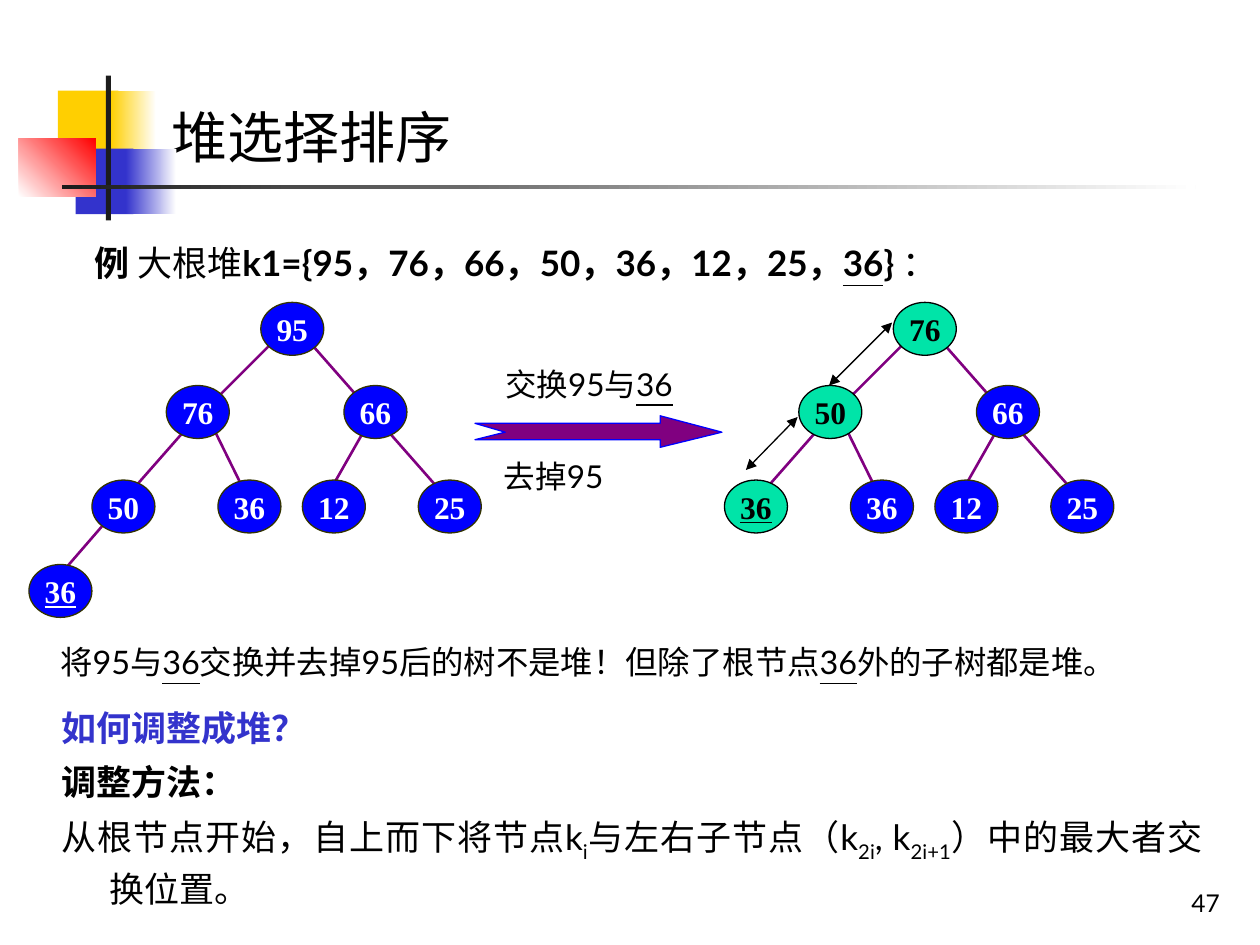
from dataclasses import dataclass

from lxml import etree
from pptx import Presentation
from pptx.dml.color import RGBColor
from pptx.enum.shapes import MSO_CONNECTOR, MSO_SHAPE
from pptx.enum.text import MSO_ANCHOR, MSO_AUTO_SIZE, PP_ALIGN
from pptx.oxml.ns import qn
from pptx.util import Inches, Pt

RECT, OVAL = MSO_SHAPE.RECTANGLE, MSO_SHAPE.OVAL
STRAIGHT = MSO_CONNECTOR.STRAIGHT
TOP, MIDDLE, BOTTOM = MSO_ANCHOR.TOP, MSO_ANCHOR.MIDDLE, MSO_ANCHOR.BOTTOM
LEFT, CENTER, RIGHT = PP_ALIGN.LEFT, PP_ALIGN.CENTER, PP_ALIGN.RIGHT
JUSTIFY = PP_ALIGN.JUSTIFY

BLACK, WHITE, BLUE, PURPLE = "000000", "FFFFFF", "0000FF", "800080"
YELLOW, INDIGO, RED, INK = "FFCF01", "3333CC", "FF0000", "1C1C1C"
GREEN, OLIVE = "00E4A8", "333300"
BODY_FONT, CJK_FONT, NODE_FONT = "Lato", "Noto Sans CJK JP", "Times New Roman"
NODE_W, NODE_H = 0.5, 0.42
TREE_SHIFT = 5.02  # distance between the two trees


@dataclass
class Run:
    text: str
    bold: bool = False
    underline: bool = False
    subscript: bool = False


@dataclass
class Style:
    size: float
    font: str = BODY_FONT
    color: str = BLACK
    align: int = LEFT
    before: float = 0
    spacing: float = 1.0
    hanging: float = 0


@dataclass
class Node:
    x: float
    y: float
    key: Run
    changed: bool = False


def rgb(value: str) -> RGBColor:
    return RGBColor.from_string(value)


def write(frame, paragraphs: list[list[Run]], style: Style, anchor=TOP, wrap=True) -> None:
    frame.word_wrap, frame.vertical_anchor = wrap, anchor
    frame.auto_size = MSO_AUTO_SIZE.NONE
    for index, runs in enumerate(paragraphs):
        paragraph = frame.add_paragraph() if index else frame.paragraphs[0]
        formats = {"alignment": style.align, "space_before": Pt(style.before),
                   "line_spacing": style.spacing}
        for name, value in formats.items():
            setattr(paragraph, name, value)
        if style.hanging:
            properties = paragraph._p.get_or_add_pPr()
            properties.set("marL", str(Inches(style.hanging)))
            properties.set("indent", str(-Inches(style.hanging)))
        for part in runs:
            run = paragraph.add_run()
            run.text = part.text
            formats = {"size": Pt(style.size), "name": style.font,
                       "bold": part.bold, "underline": part.underline}
            for name, value in formats.items():
                setattr(run.font, name, value)
            run.font.color.rgb = rgb(style.color)
            properties = run._r.get_or_add_rPr()
            etree.SubElement(properties, qn("a:ea")).set("typeface", CJK_FONT)
            if part.subscript:
                properties.set("baseline", "-25000")


def add_text(slide, box: tuple, paragraphs: list[list[Run]], style: Style, anchor=TOP) -> None:
    frame = slide.shapes.add_textbox(*map(Inches, box)).text_frame
    write(frame, paragraphs, style, anchor)


def add_block(slide, box: tuple, colors: tuple, angle: float = 0) -> None:
    block = slide.shapes.add_shape(RECT, *map(Inches, box))
    block.shadow.inherit = False
    block.line.fill.background()
    if len(colors) == 1:
        block.fill.solid()
        block.fill.fore_color.rgb = rgb(colors[0])
        return
    block.fill.gradient()
    block.fill.gradient_angle = angle
    for stop, color in zip(block.fill.gradient_stops, colors):
        stop.color.rgb = rgb(color)


def add_line(slide, ends: tuple, color: str, width: float, shift: float = 0,
             arrows: bool = False) -> None:
    x1, y1, x2, y2 = ends
    line = slide.shapes.add_connector(
        STRAIGHT, Inches(x1 + shift), Inches(y1), Inches(x2 + shift), Inches(y2))
    line.line.color.rgb = rgb(color)
    line.line.width = Pt(width)
    if arrows:
        for end in ("a:headEnd", "a:tailEnd"):
            etree.SubElement(line.line._get_or_add_ln(), qn(end)).set("type", "triangle")
    etree.SubElement(line._element.spPr, qn("a:effectLst"))


def add_node(slide, node: Node, shift: float) -> None:
    oval = slide.shapes.add_shape(OVAL, Inches(node.x + shift), Inches(node.y),
                                  Inches(NODE_W), Inches(NODE_H))
    oval.shadow.inherit = False
    oval.fill.solid()
    oval.fill.fore_color.rgb = rgb(GREEN if node.changed else BLUE)
    oval.line.color.rgb = rgb(BLACK if node.changed else OLIVE)
    oval.line.width = Pt(0.75)
    style = Style(18, NODE_FONT, BLACK if node.changed else WHITE, CENTER)
    write(oval.text_frame, [[node.key]], style, MIDDLE, wrap=False)


# Node places and edges in heap order
PLACES = [(2.07, 2.4), (1.32, 3.06), (2.73, 3.06), (0.73, 3.81),
          (1.73, 3.81), (2.4, 3.81), (3.32, 3.81), (0.23, 4.48)]
EDGES = [(2.23, 2.65, 1.65, 3.23), (2.4, 2.65, 3.57, 3.98), (1.48, 3.4, 0.9, 4.06),
         (1.65, 3.31, 1.98, 3.98), (2.9, 3.4, 2.57, 3.98)]
LAST_EDGE = (0.98, 3.98, 0.4, 4.65)
SWAPS = [(7.08, 2.56, 6.58, 3.06), (6.33, 3.31, 5.92, 3.73)]
SECOND_36 = Run("36", underline=True)
NODE_36 = Run("36", True, True)


def make_nodes(keys: list, changed: tuple = ()) -> list[Node]:
    return [Node(x, y, key if isinstance(key, Run) else Run(key, True), i in changed)
            for i, ((x, y), key) in enumerate(zip(PLACES, keys))]


def add_tree(slide, nodes: list[Node], edges: list, shift: float = 0, swaps=()) -> None:
    for edge in edges:
        add_line(slide, edge, PURPLE, 1.5, shift)
    for swap in swaps:
        add_line(slide, swap, BLACK, 0.75, arrows=True)
    for node in nodes:
        add_node(slide, node, shift)


def main() -> None:
    deck = Presentation()
    deck.slide_width, deck.slide_height = Inches(10), Inches(7.5)
    slide = deck.slides.add_slide(deck.slide_layouts[5])

    # Corner ornament and rule
    add_block(slide, (0.46, 0.72, 0.48, 0.52), (YELLOW,))
    add_block(slide, (0.88, 0.72, 0.36, 0.52), (YELLOW, WHITE))
    add_block(slide, (0.6, 1.18, 0.46, 0.52), (INDIGO,))
    add_block(slide, (1, 1.18, 0.4, 0.52), (INDIGO, WHITE))
    add_block(slide, (0.15, 1.1, 0.61, 0.46), (WHITE, RED), 45)
    add_block(slide, (0.84, 0.6, 0.04, 1.15), (INK,))
    add_block(slide, (0.49, 1.47, 9, 0.03), (INK, WHITE))

    # Title, page number and example
    title = slide.shapes.title
    place = {"left": 1.26, "top": 0.76, "width": 8.74, "height": 0.64}
    for name, value in place.items():
        setattr(title, name, Inches(value))
    write(title.text_frame, [[Run("堆选择排序")]], Style(32, CJK_FONT, before=20))
    add_text(slide, (7.7, 6.83, 2.08, 0.5), [[Run("47")]], Style(14, align=RIGHT), BOTTOM)
    add_text(slide, (0.65, 1.8, 9.13, 0.55),
             [[Run("例 ", True), Run("大根堆"),
               Run("k1={95，76，66，50，36，12，25，", True), NODE_36,
               Run("} ", True), Run("：")]],
             Style(20, before=5, spacing=1.2, hanging=0.38))

    # Heap before and after the exchange
    before = make_nodes(["95", "76", "66", "50", "36", "12", "25", NODE_36])
    after = make_nodes(["76", "50", "66", NODE_36, "36", "12", "25"], (0, 1, 3))
    add_tree(slide, before, [LAST_EDGE, *EDGES])
    add_tree(slide, after, EDGES, TREE_SHIFT, SWAPS)

    # Notched arrow between the trees
    outline = [(5.24, 3.36), (5.24, 3.3), (5.73, 3.43), (5.24, 3.55),
               (5.24, 3.49), (3.77, 3.49), (4.01, 3.43)]
    builder = slide.shapes.build_freeform(Inches(3.77), Inches(3.36))
    builder.add_line_segments([(Inches(x), Inches(y)) for x, y in outline])
    exchange = builder.convert_to_shape()
    exchange.shadow.inherit = False
    exchange.fill.solid()
    exchange.fill.fore_color.rgb = rgb(PURPLE)
    exchange.line.color.rgb = rgb(BLUE)
    exchange.line.width = Pt(0.75)
    caption = Style(18, before=11.2)
    add_text(slide, (3.91, 2.85, 1.79, 0.4), [[Run("交换95与"), SECOND_36]], caption, BOTTOM)
    add_text(slide, (3.9, 3.58, 1.52, 0.4), [[Run("去掉95")]], caption, BOTTOM)

    # Explanation
    add_text(slide, (0.38, 5.02, 9.38, 0.57),
             [[Run("将95与"), SECOND_36, Run("交换并去掉95后的树不是堆！但除了根节点"),
               SECOND_36, Run("外的子树都是堆。")]],
             Style(18.5, align=JUSTIFY, before=5, spacing=1.1, hanging=0.38))
    add_text(slide, (0.39, 5.95, 9.25, 1.37),
             [[Run("调整方法：", True)],
              [Run("从根节点开始，自上而下将节点k"), Run("i", subscript=True),
               Run("与左右子节点（k"), Run("2i", subscript=True), Run(", k"),
               Run("2i+1", subscript=True), Run("）中的最大者交换位置。")]],
             Style(20, align=JUSTIFY, before=5, spacing=1.1, hanging=0.38))
    add_text(slide, (0.39, 5.49, 9.38, 0.57), [[Run("如何调整成堆？", True)]],
             Style(20, color=INDIGO, align=JUSTIFY, before=5, spacing=1.2, hanging=0.38))

    deck.save("out.pptx")


if __name__ == "__main__":
    main()
